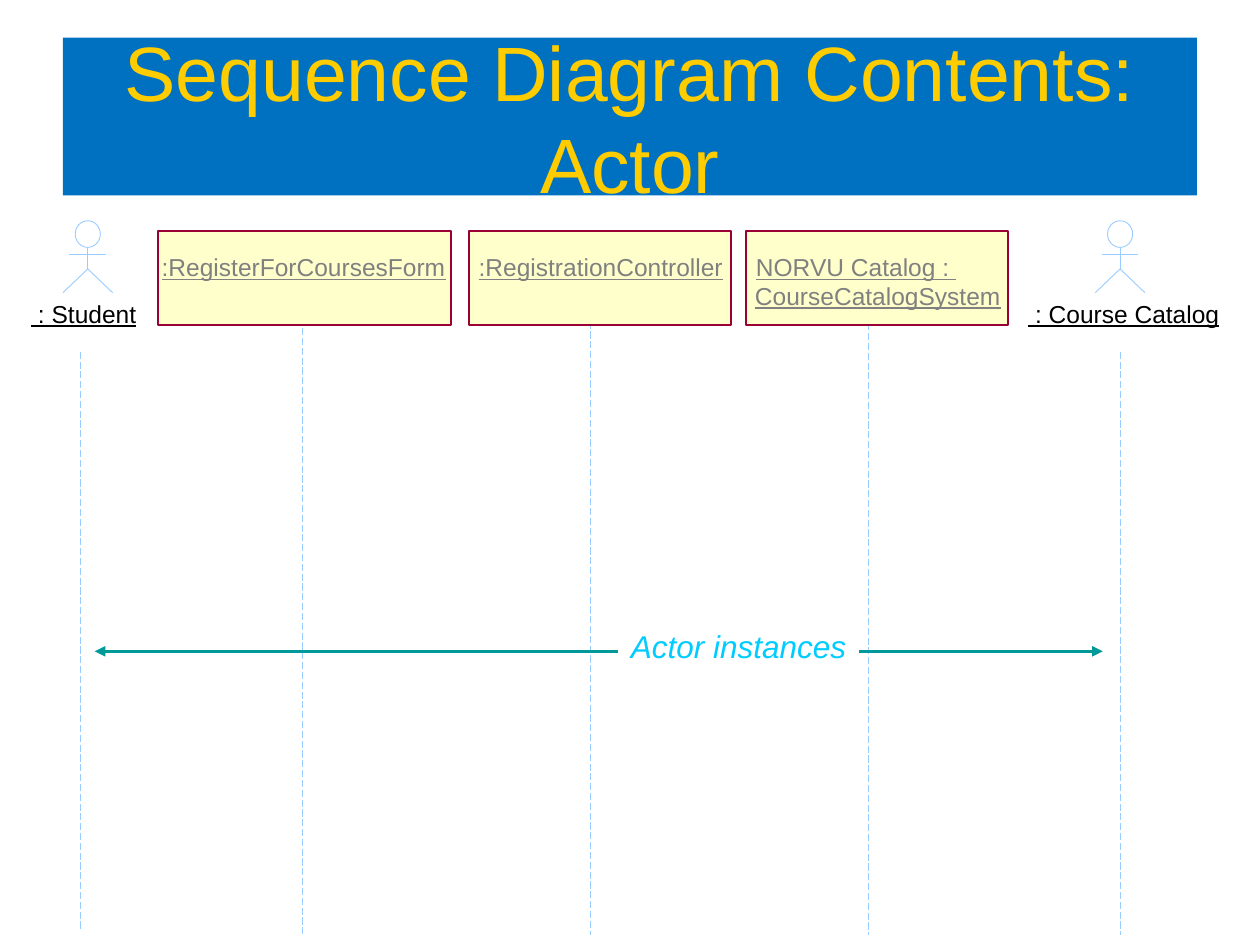
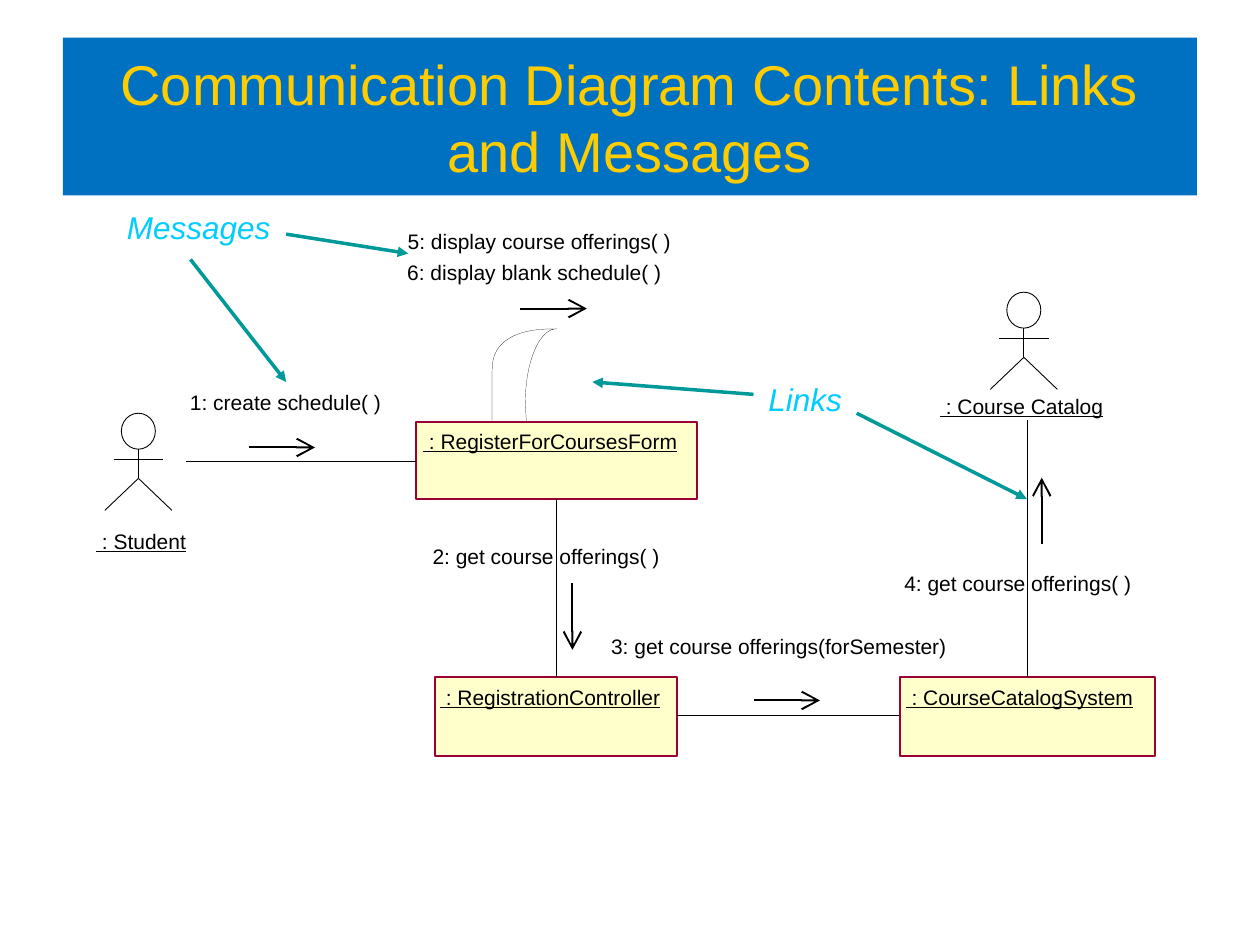
import math

from lxml import etree
from pptx import Presentation
from pptx import util as u
from pptx.dml.color import RGBColor
from pptx.enum import dml, shapes, text
from pptx.oxml.ns import qn

FONT = "Arial"
COLORS = {
    "band": "0070C0",
    "title": "FFCC00",
    "box": "FFFFCC",
    "border": "990033",
    "pale": "99CCFF",
    "grey": "808080",
    "ink": "000000",
    "callout": "00CCFF",
    "leader": "009999",
}
HAIRLINE, THIN, MEDIUM, THICK = 0.1, 0.5, 1.12, 2
NAME = {"size": u.Pt(12), "underline": True}
HEAD_NAME = {"size": u.Pt(14), "underline": True}
MESSAGE = {"size": u.Pt(12)}
CALLOUT = {"size": u.Pt(18), "italic": True}
TIPS = {
    "triangle": {"type": "triangle"},
    "arrow": {"type": "arrow", "w": "lg", "len": "lg"},
}


def rgb(name):
    return RGBColor.from_string(COLORS[name])


def cms(*values):
    return [u.Cm(v) for v in values]


def set_text(tf, content, color, fmt):
    p = tf.paragraphs[0]
    r = p.add_run()
    r.text = content
    r.font.name = FONT
    r.font.color.rgb = rgb(color)
    for key, value in fmt.items():
        setattr(r.font, key, value)
    return p


def paint(sp, fill, line, weight):
    sp.shadow.inherit = False
    if fill:
        sp.fill.solid()
        sp.fill.fore_color.rgb = rgb(fill)
    else:
        sp.fill.background()
    if line:
        sp.line.color.rgb = rgb(line)
        sp.line.width = u.Pt(weight)
    else:
        sp.line.fill.background()


def add_shape(s, kind, x, y, w, h, fill=None, line=None, weight=MEDIUM):
    sp = s.shapes.add_shape(kind, *cms(x, y, w, h))
    paint(sp, fill, line, weight)
    return sp


def add_title(s, content, size):
    sp = add_shape(s, shapes.MSO_SHAPE.RECTANGLE, 1.27, 0.76, 22.86, 3.18, "band")
    tf = sp.text_frame
    tf.word_wrap = True
    tf.vertical_anchor = text.MSO_ANCHOR.MIDDLE
    p = set_text(tf, content, "title", {"size": u.Pt(size)})
    p.alignment = text.PP_ALIGN.CENTER


def add_box(s, x, y, w, h):
    add_shape(s, shapes.MSO_SHAPE.RECTANGLE, x, y, w, h, "box", "border")


def add_label(s, x, y, w, content, fmt, color="ink", h=0.55, pad=(0, 0)):
    """Unwrapped text; pad is the horizontal and vertical inset in cm."""
    tf = s.shapes.add_textbox(*cms(x, y, w, h)).text_frame
    tf.margin_left = tf.margin_right = u.Cm(pad[0])
    tf.margin_top = tf.margin_bottom = u.Cm(pad[1])
    tf.word_wrap = False
    tf.auto_size = text.MSO_AUTO_SIZE.SHAPE_TO_FIT_TEXT
    set_text(tf, content, color, fmt)


def add_callout(s, x, y, w, content):
    add_label(s, x, y, w, content, CALLOUT, "callout", 1.07, (0.3, 0.15))


def add_line(s, x1, y1, x2, y2, color="ink", weight=HAIRLINE, dash=None, tip=None):
    """Straight line; tip names the arrowhead at its second end."""
    c = s.shapes.add_connector(shapes.MSO_CONNECTOR.STRAIGHT, *cms(x1, y1, x2, y2))
    c.line.color.rgb = rgb(color)
    c.line.width = u.Pt(weight)
    if dash:
        c.line.dash_style = dash
    if tip:
        etree.SubElement(c.line._get_or_add_ln(), qn("a:tailEnd"), TIPS[tip])
    etree.SubElement(c._element.spPr, qn("a:effectLst"))


def add_lifeline(s, x, top, bottom=18.85):
    add_line(s, x, top, x, bottom, "pale", THIN, dml.MSO_LINE.LONG_DASH)


def add_leader(s, *ends):
    add_line(s, *ends, color="leader", weight=THICK, tip="triangle")


def add_actor(s, cx, top, h, color):
    """Stick figure whose parts are fractions of its height."""
    head_w, head_h = 0.35 * h, 0.37 * h
    hip, arms, feet = top + 0.67 * h, top + 0.475 * h, top + h
    add_shape(s, shapes.MSO_SHAPE.OVAL, cx - head_w / 2, top, head_w, head_h,
              line=color, weight=THIN)
    limbs = [
        (cx, top + head_h, cx, hip),
        (cx, hip, cx + 0.345 * h, feet),
        (cx, hip, cx - 0.345 * h, feet),
        (cx - 0.255 * h, arms, cx + 0.255 * h, arms),
    ]
    for limb in limbs:
        add_line(s, *limb, color=color, weight=THIN)


def quarter_arc(cx, cy, rx, ry, power=1, steps=16):
    """Points from left end to top; a power below 1 squares the corner."""
    angles = [math.pi / 2 * i / steps for i in range(steps + 1)]
    return [(cx - rx * abs(math.cos(a)) ** power, cy - ry * math.sin(a) ** power)
            for a in angles]


def add_self_link(s, tip_x, bottom):
    outer = quarter_arc(tip_x, 7.5, 1.3, 0.87, 0.8)
    inner = quarter_arc(tip_x, 8.13, 0.63, 1.5)[::-1]
    points = [(outer[0][0], bottom), *outer, *inner, (inner[-1][0] + 0.02, bottom)]
    start, *rest = [cms(*pt) for pt in points]
    builder = s.shapes.build_freeform(*start)
    builder.add_line_segments(rest, close=False)
    paint(builder.convert_to_shape(), None, "ink", HAIRLINE)


def sequence_slide(s):
    add_title(s, "Sequence Diagram Contents: Actor", 44)

    for x, top in [(6.1, 6.02), (11.91, 5.69), (17.5, 6.12), (22.58, 7.09)]:
        add_lifeline(s, x, top)
    add_lifeline(s, 1.63, 7.09, 18.77)

    for x, w in [(3.18, 5.92), (9.45, 5.28), (15.04, 5.28)]:
        add_box(s, x, 4.65, w, 1.9)
    object_names = [
        (3.26, 5.08, 5.85, ":RegisterForCoursesForm"),
        (9.65, 5.08, 5, ":RegistrationController"),
        (15.24, 5.08, 5.28, "NORVU Catalog : "),
        (15.22, 5.66, 5.1, "CourseCatalogSystem"),
    ]
    for name in object_names:
        add_label(s, *name, HEAD_NAME, "grey")

    add_label(s, 0.63, 6.02, 2.2, " : Student", HEAD_NAME)
    add_label(s, 20.73, 6.02, 3.95, " : Course Catalog", HEAD_NAME)
    for cx in (1.77, 22.58):
        add_actor(s, cx, 4.45, 1.45, "pale")

    add_callout(s, 12.42, 12.5, 5, "Actor instances")
    for start, end in [(17.32, 22.23), (12.45, 1.91)]:
        add_leader(s, start, 13.13, end, 13.13)


def communication_slide(s):
    add_title(s, "Communication Diagram Contents: Links and Messages", 32)

    objects = [
        (8.38, 8.51, 5.67, 1.55),
        (8.77, 13.64, 4.88, 1.6),
        (18.14, 13.64, 5.15, 1.6),
    ]
    for box in objects:
        add_box(s, *box)
    add_self_link(s, 11.22, 8.48)

    links = [
        (3.75, 9.29, 8.38, 9.29),
        (11.21, 10.06, 11.21, 13.64),
        (13.64, 14.42, 18.13, 14.42),
        (20.71, 13.64, 20.71, 8.46),
    ]
    for link in links:
        add_line(s, *link)

    names = [
        (8.53, 8.63, 5.25, " : RegisterForCoursesForm"),
        (8.87, 13.79, 4.6, " : RegistrationController"),
        (18.26, 13.79, 4.75, " : CourseCatalogSystem"),
        (1.94, 10.65, 2, " : Student"),
        (18.95, 7.93, 3.45, " : Course Catalog"),
    ]
    for name in names:
        add_label(s, *name, NAME)

    messages = [
        (3.83, 7.85, 4, "1: create schedule( )"),
        (8.72, 10.96, 4.75, "2: get course offerings( )"),
        (12.32, 12.78, 6.9, "3: get course offerings(forSemester)"),
        (18.23, 11.51, 4.75, "4: get course offerings( )"),
        (8.22, 4.6, 5.45, "5: display course offerings( )"),
        (8.21, 5.23, 5.25, "6: display blank schedule( )"),
    ]
    for message in messages:
        add_label(s, *message, MESSAGE)

    add_actor(s, 2.79, 8.33, 1.96, "ink")
    add_actor(s, 20.64, 5.89, 1.96, "ink")

    reach = 1.34
    directions = [
        (10.49, 6.22, reach, 0),
        (5.01, 9.02, reach, 0),
        (15.19, 14.12, reach, 0),
        (11.54, 11.76, 0, reach),
        (21, 10.97, 0, -reach),
    ]
    for x, y, dx, dy in directions:
        add_line(s, x, y, x + dx, y + dy, weight=MEDIUM, tip="arrow")

    add_callout(s, 15.19, 7.52, 2.25, "Links")
    add_callout(s, 2.26, 4.04, 3.6, "Messages")
    leaders = [
        (17.27, 8.33, 20.7, 10.06),
        (15.19, 7.95, 11.94, 7.7),
        (3.84, 5.23, 5.77, 7.7),
        (5.77, 4.72, 8.23, 5.11),
    ]
    for leader in leaders:
        add_leader(s, *leader)


def main():
    prs = Presentation()
    prs.slide_width, prs.slide_height = cms(25.4, 19.05)
    for build in (sequence_slide, communication_slide):
        build(prs.slides.add_slide(prs.slide_layouts[6]))
    prs.save("out.pptx")


if __name__ == "__main__":
    main()
